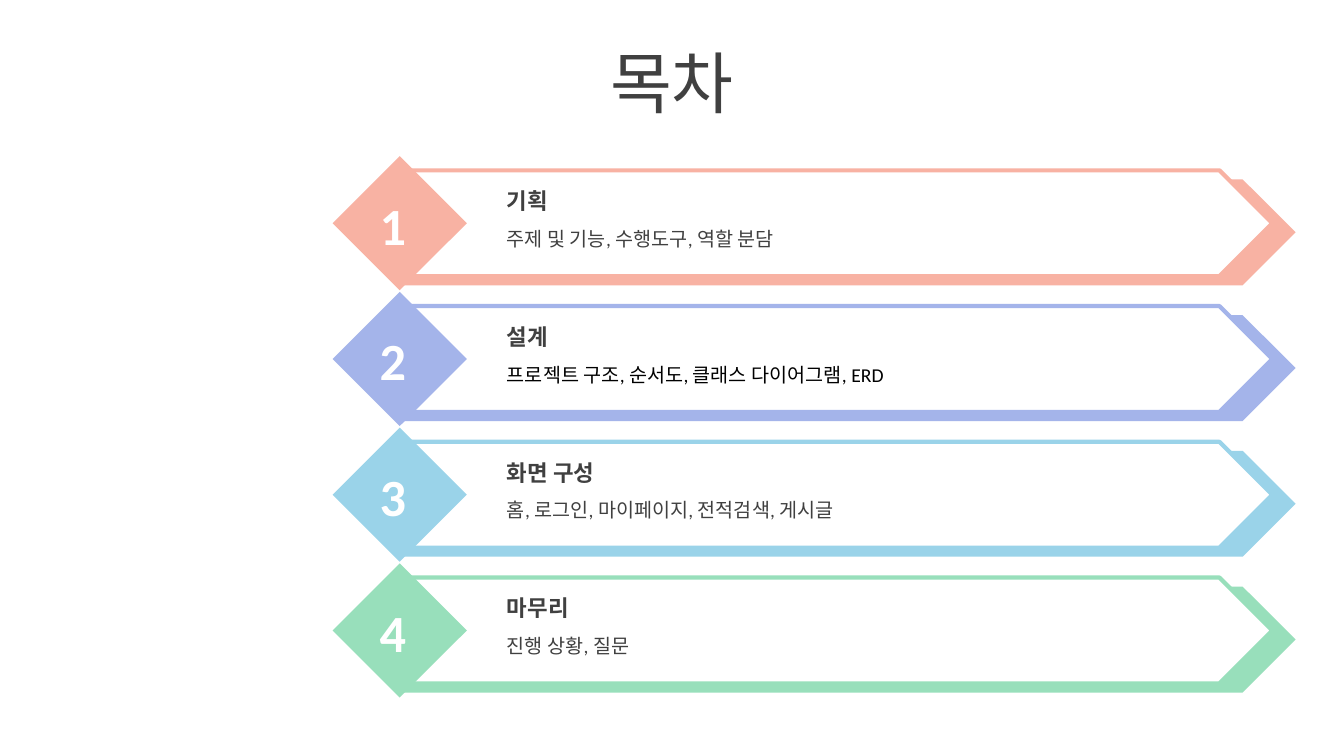
from dataclasses import dataclass

from pptx import Presentation
from pptx.dml.color import RGBColor
from pptx.enum.shapes import MSO_SHAPE
from pptx.enum.text import MSO_ANCHOR, PP_ALIGN
from pptx.util import Inches, Pt

PENTAGON, DIAMOND = MSO_SHAPE.PENTAGON, MSO_SHAPE.DIAMOND
TOP, MIDDLE = MSO_ANCHOR.TOP, MSO_ANCHOR.MIDDLE
LEFT, CENTER = PP_ALIGN.LEFT, PP_ALIGN.CENTER


@dataclass(frozen=True)
class Theme:
    font: str = "Calibri"
    ink: str = "404040"
    black: str = "000000"
    white: str = "FFFFFF"
    title_size: float = 48
    number_size: float = 37.3
    heading_size: float = 16
    detail_size: float = 14
    outline: float = 3


@dataclass(frozen=True)
class Box:
    left: float
    top: float
    width: float
    height: float

    def inner(self, left, top, width, height):
        """Box placed at an offset from this box's corner."""
        return Box(self.left + left, self.top + top, width, height)

    def inches(self):
        return [Inches(n) for n in (self.left, self.top, self.width, self.height)]


THEME = Theme()
SLIDE = Box(0, 0, 13.33, 7.5)
TITLE = SLIDE.inner(0, 0.39, SLIDE.width, 0.84)
AGENDA = SLIDE.inner(3.3, 1.55, 9.55, 5.37)
DIAMOND_SIDE = 1.33
BANNER_HEIGHT = 1.05
SECTIONS = [
    ("기획", "주제 및 기능, 수행도구, 역할 분담", "F8B2A3", THEME.ink),
    ("설계", "프로젝트 구조, 순서도, 클래스 다이어그램, ERD", "A4B4EA", THEME.black),
    ("화면 구성", "홈, 로그인, 마이페이지, 전적검색, 게시글", "9AD3E9", THEME.ink),
    ("마무리", "진행 상황, 질문", "98DFBB", THEME.ink),
]


def add_text(page, box, text, size, color, bold=False, align=LEFT, anchor=TOP):
    frame = page.shapes.add_textbox(*box.inches()).text_frame
    frame.word_wrap = True
    frame.vertical_anchor = anchor
    para = frame.paragraphs[0]
    para.alignment = align
    span = para.add_run()
    span.text = text
    span.font.name = THEME.font
    span.font.size = Pt(size)
    span.font.bold = bold
    span.font.color.rgb = RGBColor.from_string(color)


def add_block(page, kind, box, fill, line=None):
    shape = page.shapes.add_shape(kind, *box.inches())
    shape.shadow.inherit = False
    shape.fill.solid()
    shape.fill.fore_color.rgb = RGBColor.from_string(fill)
    if line:
        shape.line.color.rgb = RGBColor.from_string(line)
        shape.line.width = Pt(THEME.outline)
    else:
        shape.line.fill.background()


def add_section(page, box, number, heading, detail, color, detail_color):
    """Numbered diamond in front of an arrow banner with two lines of text."""
    banner_left = 0.7
    banner_width = box.width - banner_left
    add_block(page, PENTAGON, box.inner(banner_left, 0.23, banner_width, BANNER_HEIGHT), color)
    add_block(page, PENTAGON, box.inner(banner_left, 0.14, banner_width - 0.23, BANNER_HEIGHT),
              THEME.white, color)
    add_block(page, DIAMOND, box.inner(0, 0, DIAMOND_SIDE, DIAMOND_SIDE), color)
    add_text(page, box.inner(0.36, 0.31, 0.59, 0.73), f"{number} ", THEME.number_size,
             THEME.white, bold=True, align=CENTER, anchor=MIDDLE)
    add_text(page, box.inner(1.63, 0.26, 6.93, 0.37), heading, THEME.heading_size,
             THEME.ink, bold=True)
    add_text(page, box.inner(1.63, 0.65, 6.93, 0.34), detail, THEME.detail_size, detail_color)


def add_agenda(page, box):
    pitch = (box.height - DIAMOND_SIDE) / (len(SECTIONS) - 1)
    for row, section in enumerate(SECTIONS):
        add_section(page, box.inner(0, row * pitch, box.width, DIAMOND_SIDE), row + 1, *section)


def main():
    deck = Presentation()
    deck.slide_width, deck.slide_height = Inches(SLIDE.width), Inches(SLIDE.height)
    page = deck.slides.add_slide(deck.slide_layouts[6])
    add_text(page, TITLE, "목차", THEME.title_size, THEME.ink, align=CENTER, anchor=MIDDLE)
    add_agenda(page, AGENDA)
    deck.save("out.pptx")


if __name__ == "__main__":
    main()
